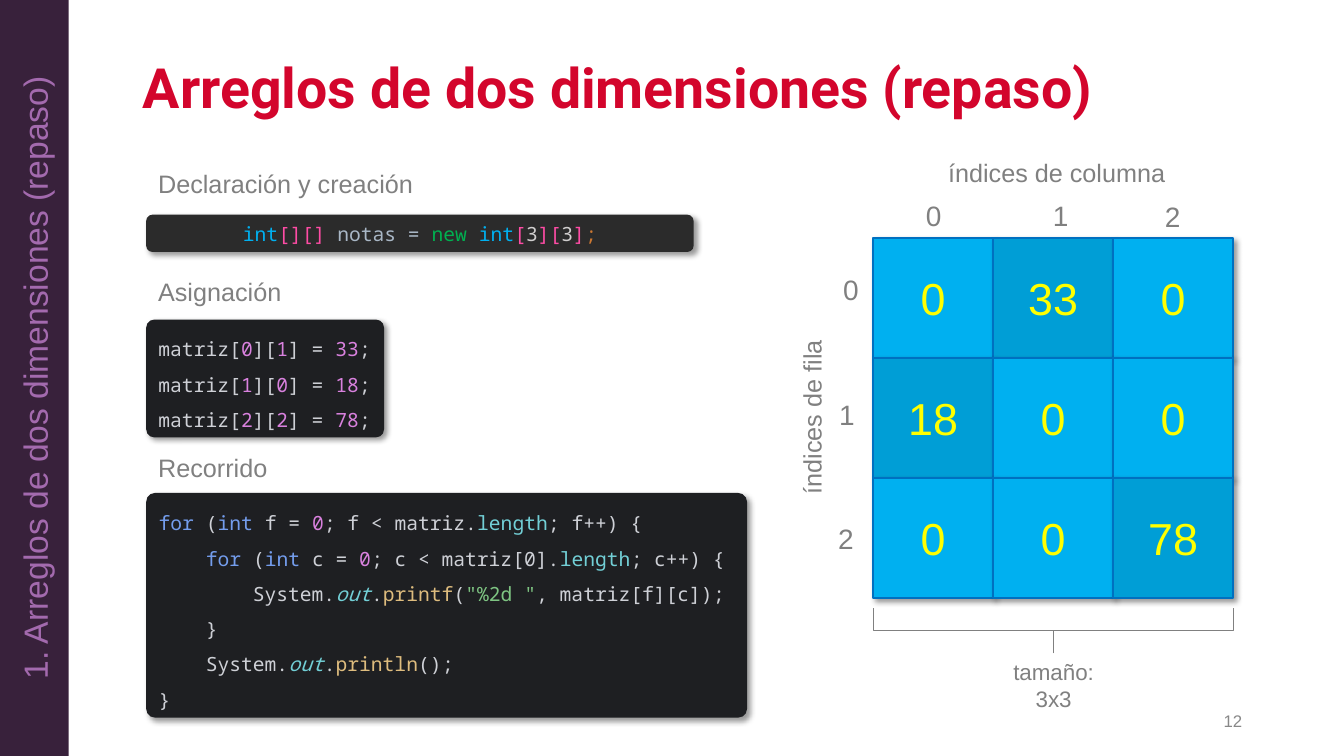
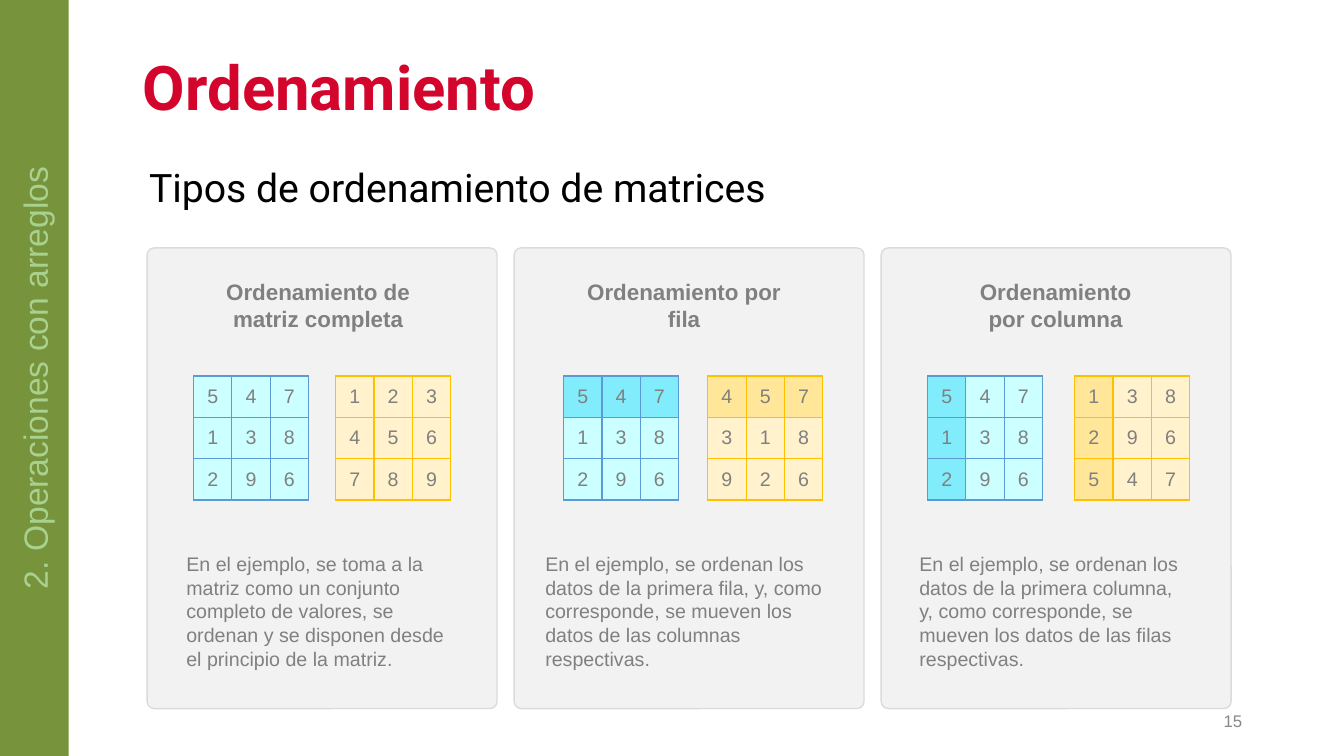
from lxml import etree
from pptx import Presentation
from pptx.dml.color import RGBColor
from pptx.enum import shapes, text
from pptx.oxml.ns import qn
from pptx.util import Inches, Pt

RED = RGBColor(0xD3, 0x05, 0x2C)
GRAY = RGBColor(0x80, 0x80, 0x80)
PAGE_GRAY = RGBColor(0x88, 0x88, 0x88)
BLACK = RGBColor(0, 0, 0)
PURPLE = RGBColor(0x38, 0x21, 0x3B)
LILAC = RGBColor(0xA3, 0x6A, 0xAE)
GREEN = RGBColor(0x77, 0x93, 0x3C)
LIGHT_GREEN = RGBColor(0xA9, 0xD1, 0x8E)
BLUE = RGBColor(0x00, 0xB0, 0xF0)
DARK_BLUE = RGBColor(0x00, 0x9E, 0xD6)
EDGE_BLUE = RGBColor(0x00, 0x70, 0xC0)
YELLOW = RGBColor(0xFF, 0xFF, 0x00)
CARD_FILL = RGBColor(0xF2, 0xF2, 0xF2)
CARD_EDGE = RGBColor(0xDB, 0xDB, 0xDB)
CODE_BG = RGBColor(0x1E, 0x1F, 0x22)
CODE_BG_SOFT = RGBColor(0x2B, 0x2B, 0x2B)

# Colours of the code tokens
PLAIN = RGBColor(0xCE, 0xD0, 0xD6)
KEYWORD = RGBColor(0x74, 0x9D, 0xED)
NUMBER = RGBColor(0xD9, 0x81, 0xDE)
FIELD = RGBColor(0x72, 0xCF, 0xD6)
METHOD = RGBColor(0xDE, 0xBC, 0x7E)
STRING = RGBColor(0x7E, 0xC4, 0x82)
PINK = RGBColor(0xFE, 0x4C, 0xA5)
NAME = RGBColor(0xA9, 0xB7, 0xC6)
NEW = RGBColor(0x00, 0xB0, 0x50)
DIGIT = RGBColor(0xD0, 0xCE, 0xCE)
SEMICOLON = RGBColor(0xCC, 0x78, 0x32)

# Table palettes: border, cell, highlighted cell
CYAN_TABLE = (RGBColor(0x5B, 0x9B, 0xD5), RGBColor(0xCC, 0xFF, 0xFF),
              RGBColor(0x81, 0xEC, 0xFB))
GOLD_TABLE = (RGBColor(0xFF, 0xC0, 0x00), RGBColor(0xFF, 0xF2, 0xCC),
              RGBColor(0xFF, 0xE6, 0x99))

LEFT, CENTER, RIGHT = text.PP_ALIGN.LEFT, text.PP_ALIGN.CENTER, text.PP_ALIGN.RIGHT
TOP, MIDDLE = text.MSO_ANCHOR.TOP, text.MSO_ANCHOR.MIDDLE
RECT = shapes.MSO_SHAPE.RECTANGLE
ROUND = shapes.MSO_SHAPE.ROUNDED_RECTANGLE
BRACE = shapes.MSO_SHAPE.RIGHT_BRACE


class Deck:
    def __init__(self):
        self.prs = Presentation()
        self.prs.slide_width, self.prs.slide_height = Inches(13.33), Inches(7.5)
        self.slide = None

    def new_slide(self, title, title_size, section, band, band_text, number):
        """Start a slide with its title, section band and page number."""
        self.slide = self.prs.slides.add_slide(self.prs.slide_layouts[6])
        self.label(title, 1.32, 0.47, 11.1, 0.86, title_size, RED, LEFT,
                   font="Roboto", bold=True, spacing=0.9)
        self.label(number, 9.42, 6.95, 3, 0.4, 12, PAGE_GRAY, RIGHT)
        sp = self.shape(RECT, 0, 0, 0.68, 7.5, band)
        self.put_text(sp, section, 24, band_text)
        sp.text_frame._txBody.bodyPr.set("vert", "vert270")

    def shape(self, kind, x, y, w, h, fill=None, line=None, line_width=1,
              adjust=(), shadow=False):
        sp = self.slide.shapes.add_shape(kind, Inches(x), Inches(y), Inches(w), Inches(h))
        sp.shadow.inherit = False
        for i, value in enumerate(adjust):
            sp.adjustments[i] = value
        if fill is None:
            sp.fill.background()
        else:
            sp.fill.solid()
            sp.fill.fore_color.rgb = fill
        if line is None:
            sp.line.fill.background()
        else:
            sp.line.color.rgb = line
            sp.line.width = Pt(line_width)
        if shadow:
            effects = sp._element.spPr.find(qn("a:effectLst"))
            outer = etree.SubElement(effects, qn("a:outerShdw"), blurRad=str(Pt(4)),
                                     dist=str(Pt(3)), dir="2700000", algn="tl",
                                     rotWithShape="0")
            color = etree.SubElement(outer, qn("a:srgbClr"), val="000000")
            etree.SubElement(color, qn("a:alpha"), val="40000")
        return sp

    def put_text(self, sp, words, size, color, align=CENTER, anchor=MIDDLE,
                 font="Arial", bold=False, spacing=None):
        tf = sp.text_frame
        tf.word_wrap = True
        tf.vertical_anchor = anchor
        tf.text = words
        for p in tf.paragraphs:
            p.alignment = align
            p.line_spacing = spacing
            self.style(p, size, font)
            p.font.bold = bold
            p.font.color.rgb = color

    def style(self, p, size, font):
        p.font.size = Pt(size)
        p.font.name = font

    def label(self, words, x, y, w, h, size, color=GRAY, align=CENTER, **style):
        sp = self.slide.shapes.add_textbox(Inches(x), Inches(y), Inches(w), Inches(h))
        self.put_text(sp, words, size, color, align, **style)
        return sp

    def code_box(self, lines, x, y, w, h, fill=CODE_BG, corner=0.17, align=LEFT,
                 spacing=1.5, wrap=True):
        """Draw a code box; each line is a list of (text, colour) tokens."""
        sp = self.shape(ROUND, x, y, w, h, fill, adjust=[corner], shadow=True)
        tf = sp.text_frame
        tf.word_wrap = wrap
        tf.vertical_anchor = MIDDLE
        for i, tokens in enumerate(lines):
            p = tf.add_paragraph() if i else tf.paragraphs[0]
            p.alignment = align
            p.line_spacing = spacing
            self.style(p, 14, "Noto Sans Mono")
            for words, color in tokens:
                r = p.add_run()
                r.text = words
                r.font.color.rgb = color
                if words == "out":
                    r.font.italic = True

    def matrix(self, rows, x, y, palette, highlighted):
        """Draw a small table; highlighted(row, column) picks the darker cells."""
        border, normal, strong = palette
        n = len(rows)
        table = self.slide.shapes.add_table(
            n, n, Inches(x), Inches(y), Inches(0.38 * n), Inches(0.41 * n)).table
        table.first_row = table.horz_banding = False
        for i, row in enumerate(rows):
            table.rows[i].height = Inches(0.41)
            table.columns[i].width = Inches(0.38)
            for j, value in enumerate(row):
                cell = table.cell(i, j)
                for side in ("a:lnL", "a:lnR", "a:lnT", "a:lnB"):
                    ln = etree.SubElement(cell._tc.get_or_add_tcPr(), qn(side), w=str(Pt(1)))
                    fill = etree.SubElement(ln, qn("a:solidFill"))
                    etree.SubElement(fill, qn("a:srgbClr"), val=str(border))
                cell.fill.solid()
                cell.fill.fore_color.rgb = strong if highlighted(i, j) else normal
                cell.vertical_anchor = MIDDLE
                cell.text = value
                p = cell.text_frame.paragraphs[0]
                p.alignment = CENTER
                self.style(p, 14, "Arial")
                p.font.color.rgb = GRAY


def two_dimensions(deck):
    deck.new_slide("Arreglos de dos dimensiones (repaso)", 39.6,
                   "1. Arreglos de dos dimensiones (repaso)", PURPLE, LILAC, "12")
    assigned = {(0, 1): "33", (1, 0): "18", (2, 2): "78"}

    for heading, y in (("Declaración y creación", 1.57), ("Asignación", 2.64),
                       ("Recorrido", 4.39)):
        deck.label(heading, 1.47, y, 2.9, 0.5, 18, align=LEFT)

    declaration = [("int", BLUE), ("[][] ", PINK), ("notas = ", NAME), ("new ", NEW),
                   ("int", BLUE), ("[", PINK), ("3", DIGIT), ("][", PINK),
                   ("3", DIGIT), ("]", PINK), (";", SEMICOLON)]
    deck.code_box([declaration], 1.45, 2.13, 5.43, 0.37, CODE_BG_SOFT, align=CENTER,
                  spacing=1)

    assignments = [[("matriz[", PLAIN), (str(row), NUMBER), ("][", PLAIN),
                    (str(col), NUMBER), ("] = ", PLAIN), (value, NUMBER), (";", PLAIN)]
                   for (row, col), value in assigned.items()]
    deck.code_box(assignments, 1.45, 3.17, 2.36, 1.17, corner=0.07, wrap=False)

    def loop(indent, var, bound):
        return [(indent + "for ", KEYWORD), ("(", PLAIN), ("int ", KEYWORD),
                (f"{var} = ", PLAIN), ("0", NUMBER), (f"; {var} < {bound}.", PLAIN),
                ("length", FIELD), (f"; {var}++) {{", PLAIN)]

    def output(indent, method):
        return [(indent + "System.", PLAIN), ("out", FIELD), (".", PLAIN), (method, METHOD)]

    traversal = [
        loop("", "f", "matriz"),
        loop("    ", "c", "matriz[0]"),
        output("        ", "printf") + [("(", PLAIN), ('"%2d "', STRING),
                                        (", matriz[f][c]);", PLAIN)],
        [("    }", PLAIN)],
        output("    ", "println") + [("();", PLAIN)],
        [("}", PLAIN)],
    ]
    deck.code_box(traversal, 1.45, 4.89, 5.96, 2.23, corner=0.04)

    for row in range(3):
        for col in range(3):
            fill = DARK_BLUE if (row, col) in assigned else BLUE
            sp = deck.shape(RECT, 8.66 + 1.19 * col, 2.36 + 1.19 * row, 1.19, 1.19,
                            fill, EDGE_BLUE, 1.5, shadow=True)
            deck.put_text(sp, assigned.get((row, col), "0"), 32, YELLOW)

    column_marks = ((9.08, 1.92), (10.34, 1.92), (11.45, 1.93))
    row_marks = ((8.26, 2.65), (8.22, 3.89), (8.21, 5.12))
    for marks in (column_marks, row_marks):
        for i, (x, y) in enumerate(marks):
            deck.label(str(i), x, y, 0.36, 0.44, 20)

    deck.label("índices de columna", 9.03, 1.46, 2.9, 0.5, 18)
    deck.label("índices de fila", 6.88, 3.89, 2.34, 0.5, 18).rotation = 270
    deck.label("tamaño:\n3x3", 9.91, 6.55, 1.08, 0.5, 16)
    brace = deck.shape(BRACE, 10.23, 4.47, 0.44, 3.57, line=GRAY, line_width=0.75,
                       adjust=(0, 0.5))
    brace.rotation = 90


def sorting(deck):
    deck.new_slide("Ordenamiento", 44, "2. Operaciones con arreglos",
                   GREEN, LIGHT_GREEN, "15")
    deck.label("Tipos de ordenamiento de matrices", 1.38, 1.57, 11.04, 0.6, 28, BLACK,
               LEFT, anchor=TOP, font="Roboto")
    unsorted = ("547", "138", "296")
    # Each text is (words, left, width); each matrix pair has its two left edges
    cards = (
        (("Ordenamiento de matriz completa", 1.92, 2.47),
         ("123", "456", "789"), (1.92, 3.33), lambda row, col: False,
         ("En el ejemplo, se toma a la matriz como un conjunto completo de valores, "
          "se ordenan y se disponen desde el principio de la matriz.", 1.75, 2.83)),
        (("Ordenamiento por fila", 5.72, 2.13),
         ("457", "318", "926"), (5.59, 7.02), lambda row, col: row == 0,
         ("En el ejemplo, se ordenan los datos de la primera fila, y, como corresponde, "
          "se mueven los datos de las columnas respectivas.", 5.31, 3.07)),
        (("Ordenamiento por columna", 9.46, 2.02),
         ("138", "296", "547"), (9.2, 10.66), lambda row, col: col == 0,
         ("En el ejemplo, se ordenan los datos de la primera columna, y, como "
          "corresponde, se mueven los datos de las filas respectivas.", 9.02, 2.9)),
    )
    for i, (heading, result, lefts, highlighted, body) in enumerate(cards):
        deck.shape(ROUND, 1.46 + 3.64 * i, 2.46, 3.47, 4.57, CARD_FILL, CARD_EDGE,
                   adjust=[0.02])
        words, x, w = heading
        deck.label(words, x, 2.71, w, 0.64, 16, anchor=TOP, bold=True)
        deck.matrix(unsorted, lefts[0], 3.73, CYAN_TABLE, highlighted)
        deck.matrix(result, lefts[1], 3.73, GOLD_TABLE, highlighted)
        words, x, w = body
        deck.label(words, x, 5.43, w, 1.28, 14, align=LEFT, anchor=TOP)


def main():
    deck = Deck()
    two_dimensions(deck)
    sorting(deck)
    deck.prs.save("out.pptx")


if __name__ == "__main__":
    main()
